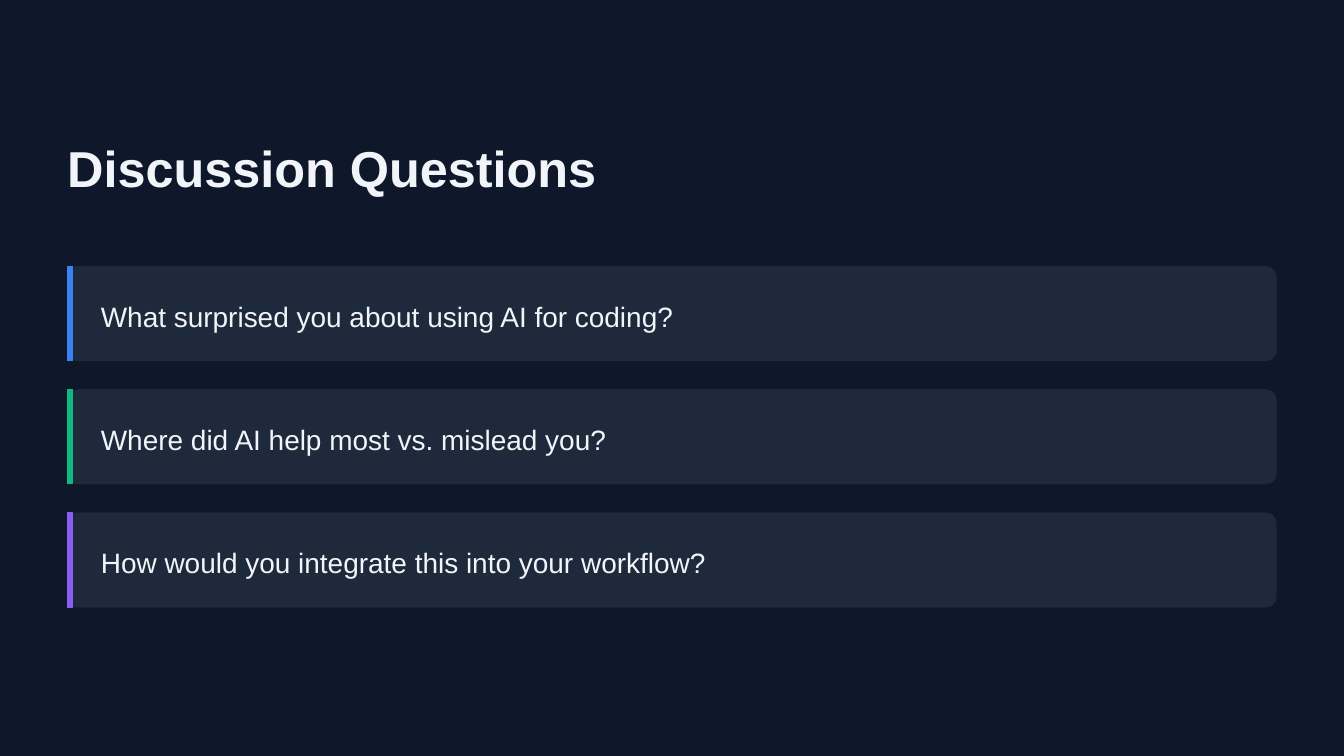
from pptx import Presentation
from pptx.dml.color import RGBColor
from pptx.enum.shapes import MSO_CONNECTOR, MSO_SHAPE
from pptx.enum.text import MSO_ANCHOR, MSO_AUTO_SIZE, PP_ALIGN
from pptx.oxml.ns import qn
from pptx.util import Pt
from lxml import etree

ROUND_RECT = MSO_SHAPE.ROUNDED_RECTANGLE
STRAIGHT = MSO_CONNECTOR.STRAIGHT
TOP = MSO_ANCHOR.TOP
LEFT = PP_ALIGN.LEFT
NO_FIT = MSO_AUTO_SIZE.NONE


def color(value):
    return RGBColor.from_string(value)


def write(sp, text, size, spacing, bold=False, after=0, wrap=True):
    tf = sp.text_frame
    tf.margin_left = tf.margin_right = tf.margin_top = tf.margin_bottom = 0
    tf.word_wrap = wrap
    tf.auto_size = NO_FIT
    tf.vertical_anchor = TOP
    p = tf.paragraphs[0]
    p.alignment = LEFT
    p.line_spacing = Pt(spacing)
    p.space_before = Pt(0)
    p.space_after = Pt(after)
    r = p.add_run()
    r.text = text
    r.font.name = "Arial"
    r.font.size = Pt(size)
    r.font.bold = bold
    r.font.color.rgb = color("F1F5F9")


prs = Presentation()
prs.slide_width, prs.slide_height = Pt(720), Pt(405)
s = prs.slides.add_slide(prs.slide_layouts[5])
s.background.fill.solid()
s.background.fill.fore_color.rgb = color("0F172A")

title = s.shapes.title
title.left, title.top, title.width, title.height = Pt(36), Pt(79), Pt(331), Pt(27)
write(title, "Discussion Questions", 27, 27, bold=True, after=24)

questions = [
    ("What surprised you about using AI for coding?", "3B82F6"),
    ("Where did AI help most vs. mislead you?", "10B981"),
    ("How would you integrate this into your workflow?", "8B5CF6"),
]
card_h, gap = 51, 15

for i, (question, accent) in enumerate(questions):
    top = 142.5 + i * (card_h + gap)
    card = s.shapes.add_shape(ROUND_RECT, Pt(36), Pt(top), Pt(648), Pt(card_h))
    card.adjustments[0] = 0.12
    card.shadow.inherit = False
    card.fill.solid()
    card.fill.fore_color.rgb = color("1E293B")
    card.line.fill.background()

    bar = s.shapes.add_connector(STRAIGHT, Pt(37.5), Pt(top), Pt(37.5), Pt(top + card_h))
    bar.line.color.rgb = color(accent)
    bar.line.width = Pt(3)
    etree.SubElement(bar._element.spPr, qn("a:effectLst"))

    box = s.shapes.add_textbox(Pt(54), Pt(top + 15), Pt(627), Pt(21))
    write(box, question, 15, 21)

prs.save("out.pptx")
